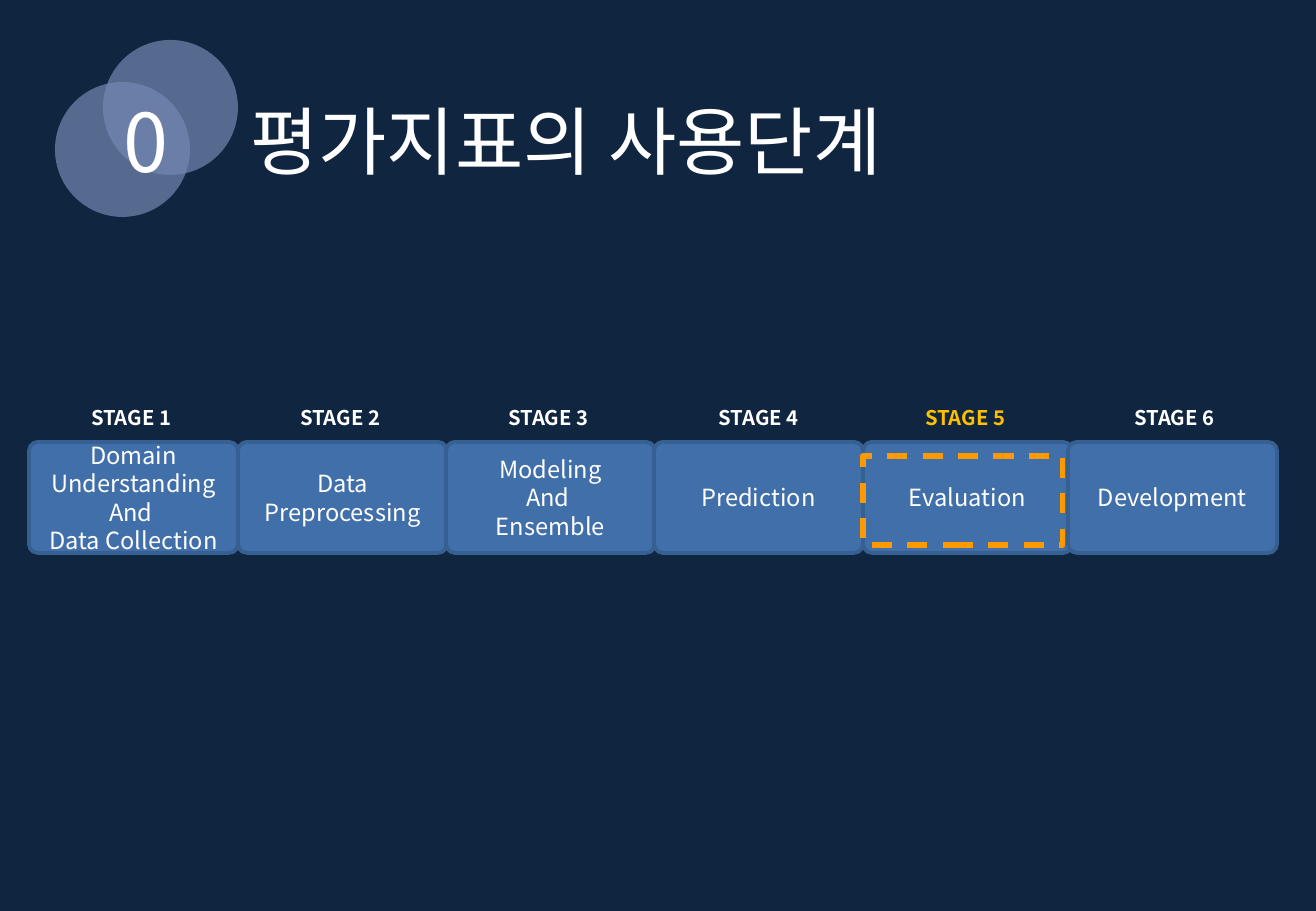
import pptx
import pptx.util
from dataclasses import dataclass
from lxml import etree
from pptx.dml.color import RGBColor
from pptx.enum.dml import MSO_LINE
from pptx.enum.shapes import MSO_SHAPE
from pptx.enum.text import MSO_ANCHOR, MSO_AUTO_SIZE, PP_ALIGN
from pptx.oxml.ns import qn

EMU_PER_PIXEL = 914400 / 121.5


@dataclass(frozen=True)
class Theme:
    font: str = "Noto Sans CJK KR"
    background: str = "10253F"
    text: str = "FFFFFF"
    circle: str = "7487B2"
    box: str = "416FA9"
    box_line: str = "376092"
    current_label: str = "FFC000"
    current_frame: str = "FF9900"
    title_size: int = 44
    number_size: int = 48
    box_size: int = 14
    label_size: int = 12


THEME = Theme()

# Stage label and box text, one line per paragraph
STAGES = [
    ("STAGE 1 ", "Domain\nUnderstanding\nAnd \nData Collection"),
    ("STAGE 2 ", "Data Preprocessing"),
    ("STAGE 3 ", "Modeling\nAnd \nEnsemble"),
    ("STAGE 4", "Prediction"),
    ("STAGE 5 ", "Evaluation"),
    ("STAGE 6 ", "Development"),
]
CURRENT_STAGE = 4
STAGE_LEFT, STAGE_PITCH, STAGE_WIDTH = 29, 208.5, 209
LABEL_TOP, LABEL_HEIGHT = 399, 36
BOX_TOP, BOX_HEIGHT = 442, 111
LAST_BOX_OVERLAP = 4


def px(value):
    return pptx.util.Emu(round(value * EMU_PER_PIXEL))


def color(value):
    return RGBColor.from_string(value)


def write_text(shape, text, size, text_color=THEME.text, bold=False,
               align=PP_ALIGN.CENTER, anchor=MSO_ANCHOR.TOP):
    frame = shape.text_frame
    frame.text = text
    frame.word_wrap = True
    frame.auto_size = MSO_AUTO_SIZE.NONE
    frame.vertical_anchor = anchor
    for paragraph in frame.paragraphs:
        paragraph.alignment = align
        for run in paragraph.runs:
            run.font.name = THEME.font
            run.font.size = pptx.util.Pt(size)
            run.font.bold = bold
            run.font.color.rgb = color(text_color)
            east_asian = etree.SubElement(run.font._element, qn("a:ea"))
            east_asian.set("typeface", THEME.font)


def add_title(slide, text, left, top, width, height):
    title = slide.shapes.title
    title.left, title.top = px(left), px(top)
    title.width, title.height = px(width), px(height)
    write_text(title, text, THEME.title_size, align=PP_ALIGN.LEFT)


def add_label(slide, text, left, top, width, height, size, **style):
    label = slide.shapes.add_textbox(px(left), px(top), px(width), px(height))
    write_text(label, text, size, **style)


def add_shape(slide, kind, left, top, width, height, fill=None, line=None, line_width=0):
    shape = slide.shapes.add_shape(kind, px(left), px(top), px(width), px(height))
    shape.shadow.inherit = False
    if fill:
        shape.fill.solid()
        shape.fill.fore_color.rgb = color(fill)
    else:
        shape.fill.background()
    if line:
        shape.line.color.rgb = color(line)
        shape.line.width = pptx.util.Pt(line_width)
    else:
        shape.line.fill.background()
    return shape


def add_circle(slide, left, top, diameter):
    circle = add_shape(slide, MSO_SHAPE.FLOWCHART_CONNECTOR, left, top,
                       diameter, diameter, fill=THEME.circle)
    fill_color = circle._element.spPr.find(qn("a:solidFill"))[0]
    etree.SubElement(fill_color, qn("a:alpha")).set("val", "70000")


def add_stage_box(slide, text, left):
    box = add_shape(slide, MSO_SHAPE.ROUNDED_RECTANGLE, left, BOX_TOP, STAGE_WIDTH,
                    BOX_HEIGHT, THEME.box, THEME.box_line, 2.25)
    box.adjustments[0] = 0.08
    write_text(box, text, THEME.box_size, anchor=MSO_ANCHOR.MIDDLE)


def main():
    presentation = pptx.Presentation()
    presentation.slide_width, presentation.slide_height = px(1316), px(911)
    slide = presentation.slides.add_slide(presentation.slide_layouts[5])
    slide.background.fill.solid()
    slide.background.fill.fore_color.rgb = color(THEME.background)

    # Heading with numbered circles
    add_title(slide, "평가지표의 사용단계", 238, 89, 925, 102)
    add_circle(slide, 103, 40, 135)
    add_circle(slide, 55, 82, 135)
    add_label(slide, "0", 79, 86, 135, 111, THEME.number_size)

    # Stages in a row, the last box slightly overlapping its neighbour
    for index, (label, text) in enumerate(STAGES):
        left = STAGE_LEFT + index * STAGE_PITCH
        overlap = LAST_BOX_OVERLAP if index == len(STAGES) - 1 else 0
        add_stage_box(slide, text, round(left - overlap))
        label_color = THEME.current_label if index == CURRENT_STAGE else THEME.text
        add_label(slide, label, round(left), LABEL_TOP, STAGE_WIDTH, LABEL_HEIGHT,
                  THEME.label_size, text_color=label_color, bold=True)

    # Frame around the current stage
    frame_left = round(STAGE_LEFT + CURRENT_STAGE * STAGE_PITCH)
    frame = add_shape(slide, MSO_SHAPE.RECTANGLE, frame_left, 456, 200, 89,
                      line=THEME.current_frame, line_width=3)
    frame.line.dash_style = MSO_LINE.DASH

    presentation.save("out.pptx")


main()
